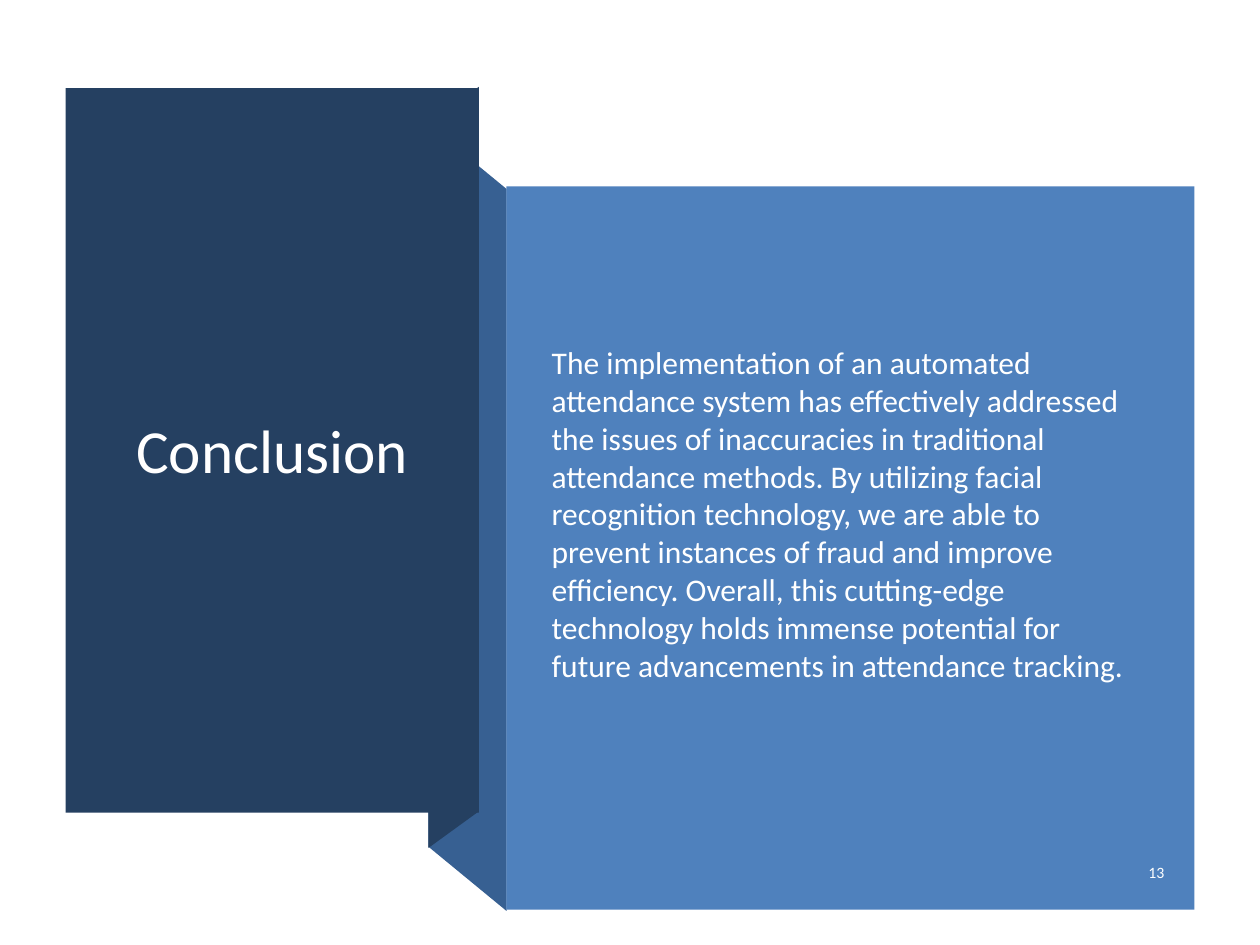
import pptx
import pptx.dml.color
import pptx.enum.shapes
import pptx.enum.text
import pptx.util

Inches = pptx.util.Inches
Pt = pptx.util.Pt
ALIGN = pptx.enum.text.PP_ALIGN

COLORS = {
    "navy": "254061",
    "fold": "376092",
    "blue": "4F81BD",
    "white": "FFFFFF",
}
FONT = "Calibri"

CONCLUSION = (
    "The implementation of an automated attendance system has effectively "
    "addressed the issues of inaccuracies in traditional attendance methods. "
    "By utilizing facial recognition technology, we are able to prevent "
    "instances of fraud and improve efficiency. Overall, this cutting-edge "
    "technology holds immense potential for future advancements in "
    "attendance tracking."
)


def rgb(name):
    return pptx.dml.color.RGBColor.from_string(COLORS[name])


def paint(shape, color):
    shape.shadow.inherit = False
    shape.fill.solid()
    shape.fill.fore_color.rgb = rgb(color)
    shape.line.fill.background()


def add_fold(slide, corners, color):
    points = [(Inches(x), Inches(y)) for x, y in corners]
    builder = slide.shapes.build_freeform(*points[0])
    builder.add_line_segments(points[1:], close=True)
    paint(builder.convert_to_shape(), color)


def add_panel(slide, left, top, width, height, color):
    panel = slide.shapes.add_shape(
        pptx.enum.shapes.MSO_SHAPE.RECTANGLE,
        Inches(left), Inches(top), Inches(width), Inches(height))
    paint(panel, color)


def add_text(slide, left, top, width, height, text, size, align,
             before=0, after=0, bottom_inset=0.05):
    box = slide.shapes.add_textbox(
        Inches(left), Inches(top), Inches(width), Inches(height))
    frame = box.text_frame
    frame.word_wrap = True
    frame.vertical_anchor = pptx.enum.text.MSO_ANCHOR.MIDDLE
    frame.margin_bottom = Inches(bottom_inset)
    paragraph = frame.paragraphs[0]
    paragraph.text = text
    paragraph.alignment = align
    paragraph.space_before = Pt(before)
    paragraph.space_after = Pt(after)
    paragraph.font.name = FONT
    paragraph.font.size = Pt(size)
    paragraph.font.color.rgb = rgb("white")


def main():
    deck = pptx.Presentation()
    deck.slide_width = Inches(10)
    deck.slide_height = Inches(7.5)
    slide = deck.slides.add_slide(deck.slide_layouts[6])

    # Ribbon folds joining the two panels
    add_fold(slide, [(4.02, 7.23), (3.4, 6.72), (3.4, 0.99), (4.02, 1.5)], "fold")
    add_fold(slide, [(3.8, 6.44), (3.4, 6.73), (3.4, 0.98), (3.8, 0.69)], "navy")

    # Title panel
    add_panel(slide, 0.52, 0.7, 3.28, 5.75, "navy")
    add_text(slide, 0.77, 1.07, 2.78, 4.99, "Conclusion", 35, ALIGN.CENTER)

    # Conclusion panel, with its text raised a little above the middle
    add_panel(slide, 4.02, 1.48, 5.46, 5.74, "blue")
    add_text(slide, 4.28, 1.88, 4.88, 4.74, CONCLUSION, 18, ALIGN.LEFT,
             before=3.6, bottom_inset=0.4)

    # Slide number
    add_text(slide, 8.78, 6.75, 0.56, 0.35, "13", 9, ALIGN.RIGHT, after=6)

    deck.save("out.pptx")


if __name__ == "__main__":
    main()
